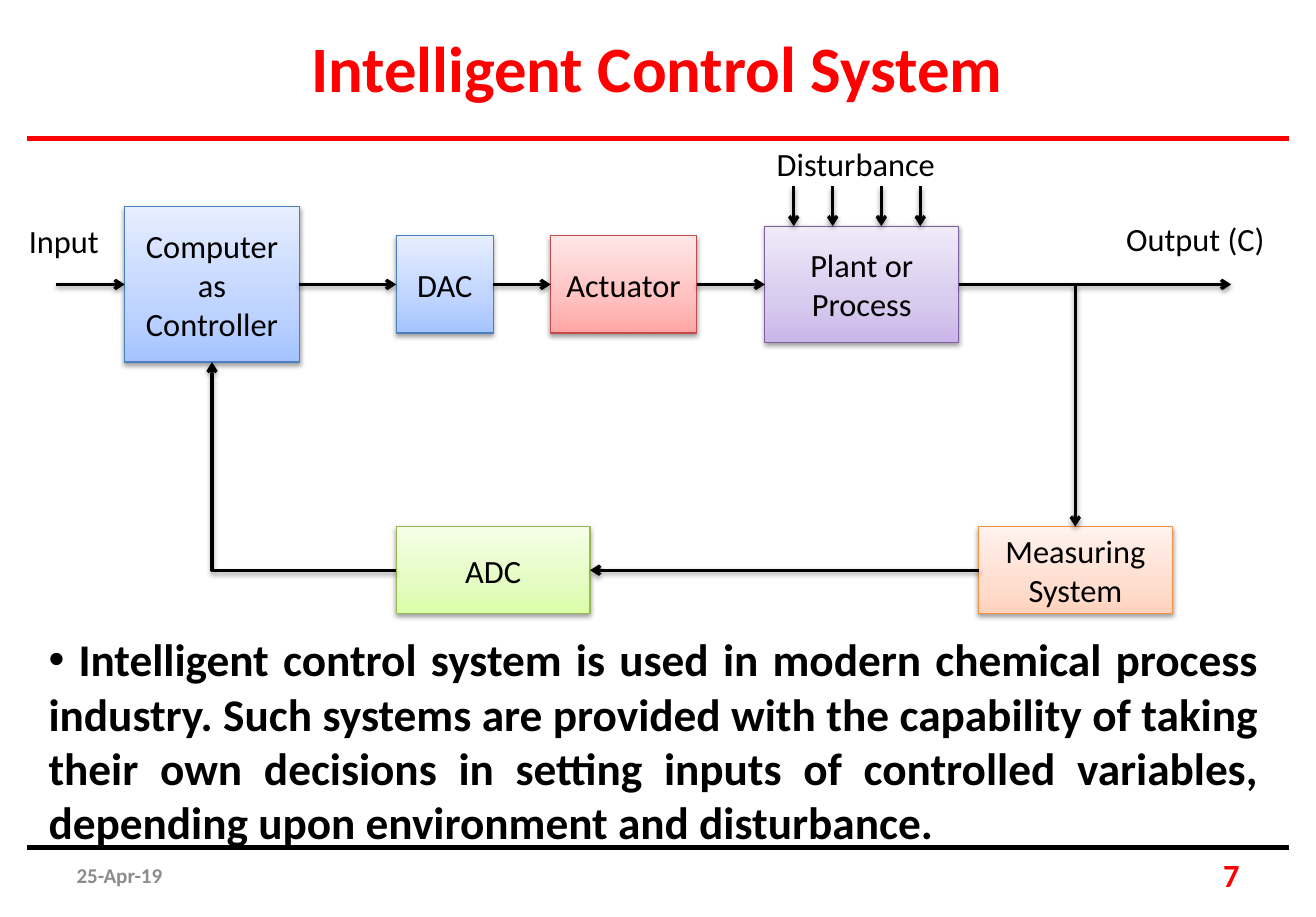
from copy import deepcopy

from lxml.etree import SubElement
from pptx import Presentation
from pptx.dml.color import RGBColor
from pptx.enum.shapes import MSO_CONNECTOR as Connector, MSO_SHAPE as Preset
from pptx.enum.text import MSO_ANCHOR as Anchor, PP_ALIGN as Align
from pptx.oxml.ns import qn
from pptx.util import Cm, Pt

BLACK = RGBColor(0x00, 0x00, 0x00)
RED = RGBColor(0xFF, 0x00, 0x00)
GRAY = RGBColor(0x8C, 0x8C, 0x8C)


def palette(line, *stops):
    return RGBColor.from_string(line), [RGBColor.from_string(stop) for stop in stops]


BLUE = palette("4B7EBC", "A4C4FF", "BFD4FF", "E6EEFF")
ROSE = palette("BF4C48", "FFA6A5", "FFC0BF", "FFE7E7")
PURPLE = palette("7D60A0", "C9B5E8", "D8CBEE", "F0EAF9")
ORANGE = palette("F69240", "FFD2BD", "FFDED0", "FFF2ED")
GREEN = palette("98B955", "DAFDA7", "E4FCC2", "F5FFE7")

TOP, LEFT, BOTTOM, RIGHT = range(4)
FORWARD_Y = 6.2
FEEDBACK_Y = 12.43
BRANCH_X = 23.45


def write(shape, text, size=20, color=BLACK, bold=False, align=Align.LEFT,
          anchor=Anchor.TOP, wrap=True, bullet=None):
    frame = shape.text_frame
    frame.word_wrap = wrap
    frame.vertical_anchor = anchor
    paragraph = frame.paragraphs[0]
    paragraph.alignment = align
    if bullet:
        properties = paragraph._p.get_or_add_pPr()
        SubElement(properties, qn("a:buFont"), typeface="Arial")
        SubElement(properties, qn("a:buChar"), char=bullet)
    run = paragraph.add_run()
    run.text = text
    run.font.name = "Calibri"
    run.font.size = Pt(size)
    run.font.bold = bold
    run.font.color.rgb = color


class Diagram:
    def __init__(self, slide):
        self.slide = slide
        self.shapes = slide.shapes

    def effects(self, shape, shadow=True):
        effects = SubElement(shape._element.spPr, qn("a:effectLst"))
        if shadow:
            outer = SubElement(effects, qn("a:outerShdw"), blurRad="40000",
                               dist="20000", dir="5400000", rotWithShape="0")
            color = SubElement(outer, qn("a:srgbClr"), val="000000")
            SubElement(color, qn("a:alpha"), val="38000")

    def label(self, text, left, top, width, height=1.12, **style):
        box = self.shapes.add_textbox(Cm(left), Cm(top), Cm(width), Cm(height))
        write(box, text, **style)

    def block(self, text, left, middle, width, height, colors):
        line, stops = colors
        shape = self.shapes.add_shape(Preset.RECTANGLE, Cm(left), Cm(middle - height / 2),
                                      Cm(width), Cm(height))
        shape.fill.gradient()
        shape.fill.gradient_angle = 90
        stop_list = shape._element.spPr.find(".//" + qn("a:gsLst"))
        stop_list.insert(1, deepcopy(stop_list[0]))
        for stop, position, color in zip(shape.fill.gradient_stops, (0, 0.35, 1), stops):
            stop.position = position
            stop.color.rgb = color
        shape.line.color.rgb = line
        shape.line.width = Pt(0.75)
        self.effects(shape)
        write(shape, text, align=Align.CENTER, anchor=Anchor.MIDDLE)
        return shape

    def line(self, start, end, color=BLACK, width=2, kind=Connector.STRAIGHT):
        connector = self.shapes.add_connector(kind, *map(Cm, start + end))
        connector.line.color.rgb = color
        connector.line.width = Pt(width)
        return connector

    def rule(self, y, color):
        self.effects(self.line((0.58, y), (28.12, y), color, 3), shadow=False)

    def arrow(self, start, end, kind=Connector.STRAIGHT):
        connector = self.line(start, end, kind=kind)
        SubElement(connector.line._get_or_add_ln(), qn("a:tailEnd"), type="arrow")
        self.effects(connector)
        return connector

    def link(self, source, source_side, target, target_side, kind=Connector.STRAIGHT):
        connector = self.arrow((0, 0), (0, 0), kind)
        connector.begin_connect(source, source_side)
        connector.end_connect(target, target_side)
        return connector


def main():
    presentation = Presentation()
    presentation.slide_width = Cm(28.7)
    presentation.slide_height = Cm(19.99)
    diagram = Diagram(presentation.slides.add_slide(presentation.slide_layouts[6]))

    diagram.rule(3.02, RED)
    diagram.rule(18.47, BLACK)
    diagram.label("Intelligent Control System", 0.58, 0.48, 27.5, 1.96,
                  size=40, color=RED, bold=True, align=Align.CENTER)
    diagram.label("25-Apr-19", 1.42, 18.54, 6.71, 1.07,
                  size=13, color=GRAY, bold=True, anchor=Anchor.MIDDLE)
    diagram.label("7", 20.57, 18.54, 6.71, 1.07, color=RED, bold=True,
                  align=Align.RIGHT, anchor=Anchor.MIDDLE)

    controller = diagram.block("Computer as Controller", 2.72, FORWARD_Y, 3.81, 3.39, BLUE)
    dac = diagram.block("DAC", 8.64, FORWARD_Y, 2.12, 2.12, BLUE)
    actuator = diagram.block("Actuator", 12.01, FORWARD_Y, 3.18, 2.12, ROSE)
    plant = diagram.block("Plant or Process", 16.68, FORWARD_Y, 4.23, 2.54, PURPLE)
    measuring = diagram.block("Measuring System", 21.34, FEEDBACK_Y, 4.23, 1.9, ORANGE)
    adc = diagram.block("ADC", 8.64, FEEDBACK_Y, 4.23, 1.9, GREEN)

    forward_path = (controller, dac, actuator, plant)
    for source, target in zip(forward_path, forward_path[1:]):
        diagram.link(source, RIGHT, target, LEFT)
    diagram.link(measuring, LEFT, adc, RIGHT)
    feedback = diagram.link(adc, LEFT, controller, BOTTOM, Connector.ELBOW)
    feedback._element.spPr.find(qn("a:prstGeom")).set("prst", "bentConnector2")

    diagram.arrow((1.22, FORWARD_Y), (2.72, FORWARD_Y))
    diagram.arrow((20.91, FORWARD_Y), (26.85, FORWARD_Y))
    diagram.arrow((BRANCH_X, FORWARD_Y), (BRANCH_X, 11.48))
    for x in (17.31, 18.16, 19.22, 20.07):
        diagram.arrow((x, 4.06), (x, 4.93))

    diagram.label("Input", 0.38, 4.7, 2.08)
    diagram.label("Disturbance", 16.69, 3.02, 3.99, wrap=False)
    diagram.label("Output (C)", 24.31, 4.65, 3.81)
    diagram.label(
        " Intelligent control system is used in modern chemical process industry. "
        "Such systems are provided with the capability of taking their own decisions "
        "in setting inputs of controlled variables, depending upon environment and "
        "disturbance.",
        0.81, 13.64, 26.87, 5.05, size=28, bold=True, align=Align.JUSTIFY, bullet="•")

    presentation.save("out.pptx")


if __name__ == "__main__":
    main()
